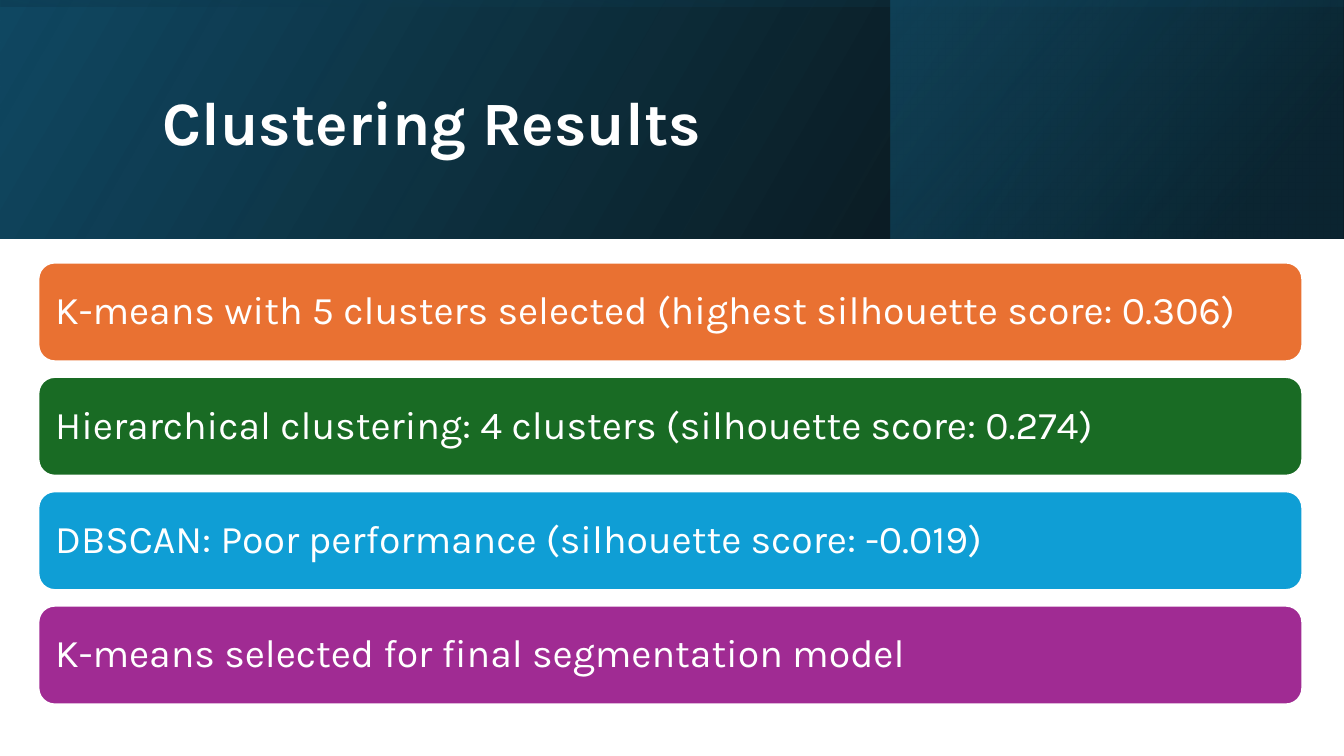
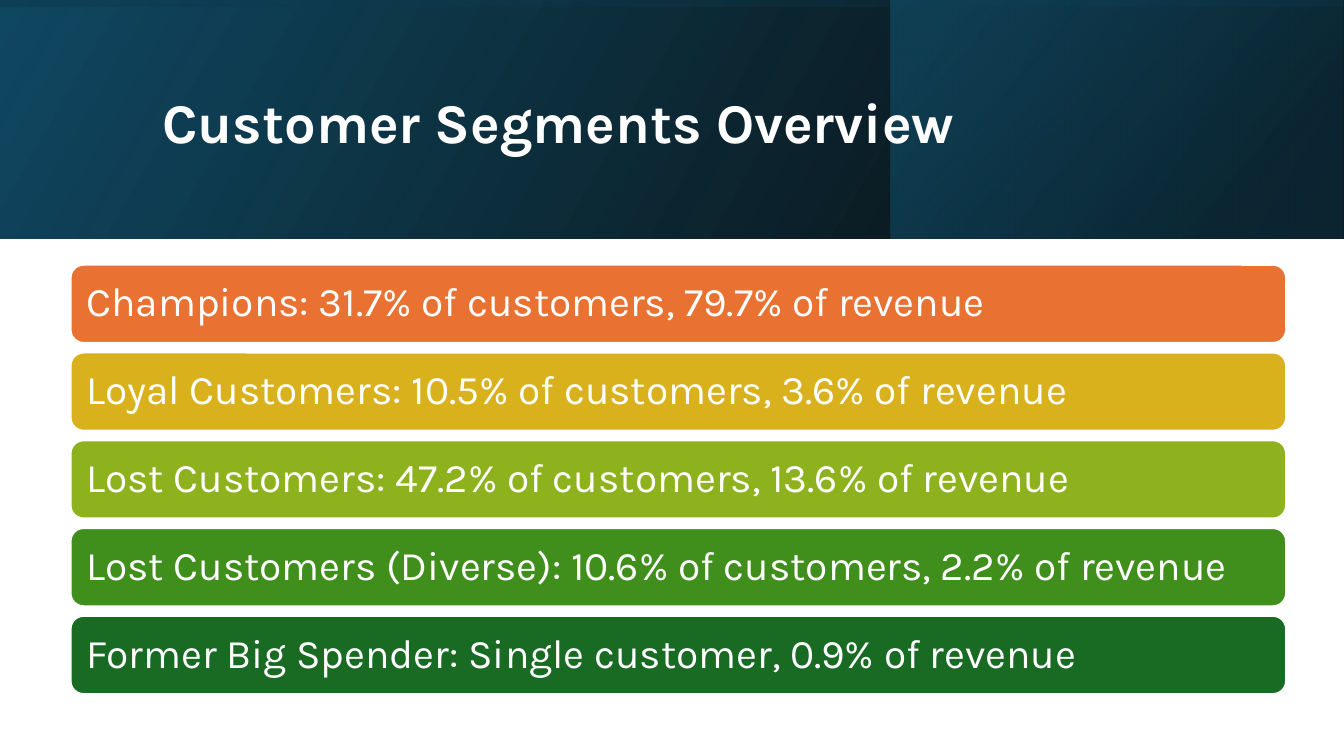
from lxml import etree
from pptx import Presentation
from pptx.dml.color import RGBColor
from pptx.enum.shapes import MSO_SHAPE as SHAPE
from pptx.enum.text import MSO_ANCHOR as ANCHOR, PP_ALIGN as ALIGN
from pptx.oxml.ns import qn
from pptx.util import Pt

SLIDE_W, SLIDE_H = 960, 540
BAND_H = 170.6


def rgb(value):
    return RGBColor.from_string(value)


class Deck:
    font = "Karla"
    white = "FFFFFF"

    def __init__(self):
        self.prs = Presentation()
        self.prs.slide_width = Pt(SLIDE_W)
        self.prs.slide_height = Pt(SLIDE_H)
        self.s = None

    def slide(self, title, title_size):
        self.s = self.prs.slides.add_slide(self.prs.slide_layouts[6])
        self.header()
        self.title(title, title_size)

    def shape(self, kind, x, y, w, h):
        sp = self.s.shapes.add_shape(kind, Pt(x), Pt(y), Pt(w), Pt(h))
        sp.shadow.inherit = False
        return sp

    def gradient_box(self, x, y, w, h, angle, stops, rotation=0):
        sp = self.shape(SHAPE.RECTANGLE, x, y, w, h)
        sp.rotation = rotation
        sp.line.fill.background()
        sp.fill.background()
        pr = sp._element.spPr
        pr.find(qn("a:xfrm")).set("flipH", "1")
        grad = etree.Element(qn("a:gradFill"))
        gs_list = etree.SubElement(grad, qn("a:gsLst"))
        for pos, color, alpha in stops:
            gs = etree.SubElement(gs_list, qn("a:gs"), pos=str(pos * 1000))
            clr = etree.SubElement(gs, qn("a:srgbClr"), val=color)
            etree.SubElement(clr, qn("a:alpha"), val=str(alpha * 1000))
        etree.SubElement(grad, qn("a:lin"), ang=str(angle * 60000), scaled="0")
        pr.replace(pr.find(qn("a:noFill")), grad)

    def header(self):
        self.gradient_box(0, 0, SLIDE_W, BAND_H, 330,
                          [(0, "000000", 96), (100, "104862", 100)])
        self.gradient_box(636.5, 0, 322.8, BAND_H, 320,
                          [(19, "0B3041", 68), (100, "156082", 48)])
        offset = (SLIDE_W - BAND_H) / 2
        self.gradient_box(offset, -offset, BAND_H, SLIDE_W, 350,
                          [(23, "104862", 16), (99, "000000", 45)], rotation=270)

    def label(self, sp, text, size, bold=False):
        tf = sp.text_frame
        tf.word_wrap = True
        tf.vertical_anchor = ANCHOR.MIDDLE
        tf.text = text
        p = tf.paragraphs[0]
        p.alignment = ALIGN.LEFT
        p.line_spacing = 0.9
        r = p.runs[0]
        r.font.name = self.font
        r.font.size = Pt(size)
        r.font.bold = bold
        r.font.color.rgb = rgb(self.white)
        return tf

    def title(self, text, size):
        sp = self.s.shapes.add_textbox(Pt(108.9), Pt(27.4), Pt(765.4), Pt(123.8))
        self.label(sp, text, size, bold=True)

    def bar(self, x, y, w, h, color, text, size):
        sp = self.shape(SHAPE.ROUNDED_RECTANGLE, x, y, w, h)
        sp.fill.solid()
        sp.fill.fore_color.rgb = rgb(color)
        sp.line.color.rgb = rgb(self.white)
        sp.line.width = Pt(1.5)
        tf = self.label(sp, text, size)
        tf.margin_left = tf.margin_right = Pt(8.6)
        tf.margin_top = tf.margin_bottom = Pt(8.6)

    def bars(self, x, y, w, h, pitch, size, rows):
        for i, (color, text) in enumerate(rows):
            self.bar(x, y + i * pitch, w, h, color, text, size)


def main():
    deck = Deck()

    deck.slide("Clustering Results", 44)
    deck.bars(27.4, 187.5, 902.9, 70.6, 81.7, 28, [
        ("E97132", "K-means with 5 clusters selected (highest silhouette score: 0.306)"),
        ("196B24", "Hierarchical clustering: 4 clusters (silhouette score: 0.274)"),
        ("0F9ED5", "DBSCAN: Poor performance (silhouette score: -0.019)"),
        ("A02B93", "K-means selected for final segmentation model"),
    ])

    deck.slide("Customer Segments Overview", 40)
    deck.bars(50.4, 189.1, 868.3, 55.9, 62.7, 29, [
        ("E97132", "Champions: 31.7% of customers, 79.7% of revenue"),
        ("D8B11D", "Loyal Customers: 10.5% of customers, 3.6% of revenue"),
        ("8EB21E", "Lost Customers: 47.2% of customers, 13.6% of revenue"),
        ("408E1C", "Lost Customers (Diverse): 10.6% of customers, 2.2% of revenue"),
        ("196B24", "Former Big Spender: Single customer, 0.9% of revenue"),
    ])

    deck.prs.save("out.pptx")


if __name__ == "__main__":
    main()
